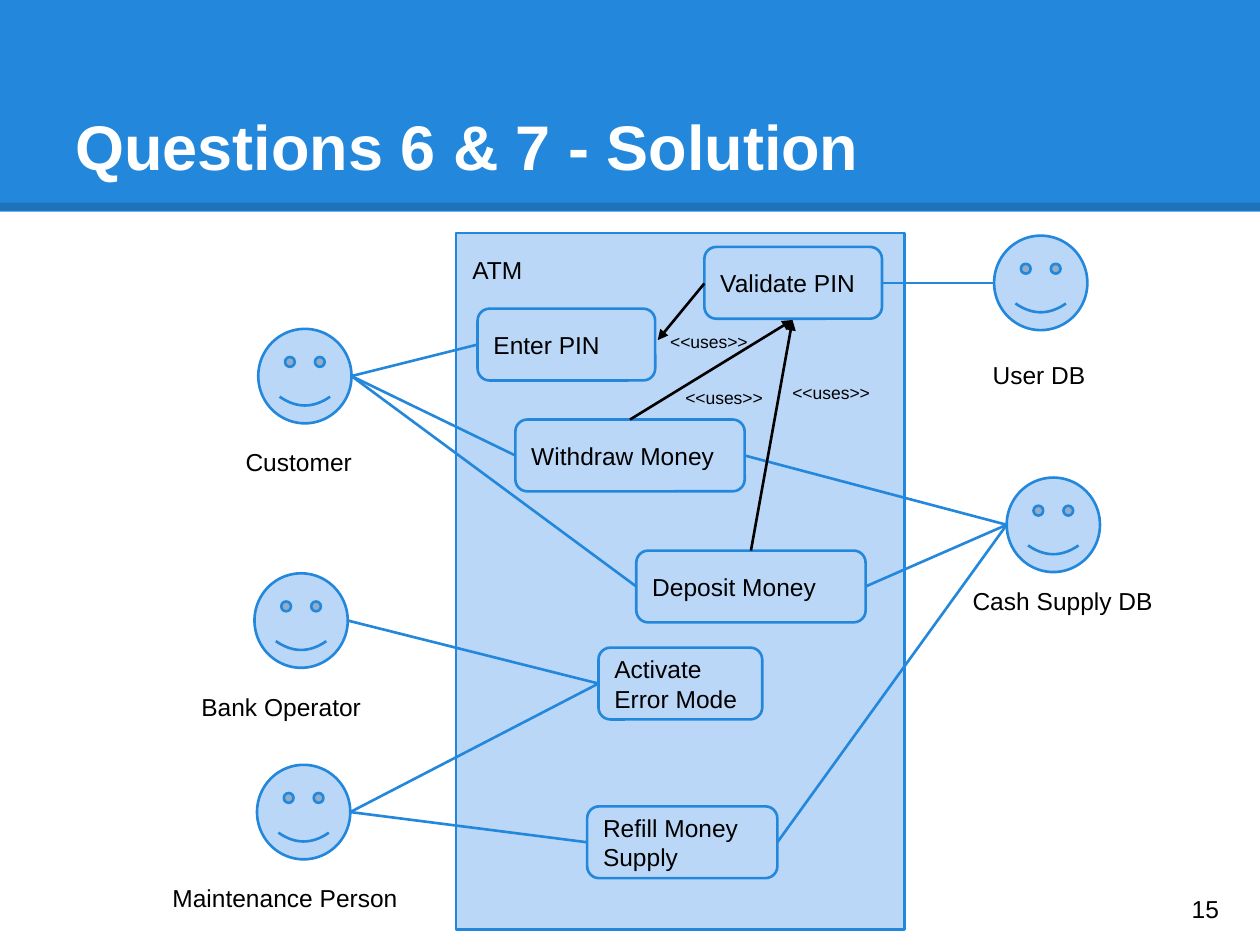
import pptx
import pptx.util
import pptx.dml.color
import pptx.enum.shapes
import pptx.enum.text
import pptx.oxml
import pptx.oxml.ns
from pptx.util import Inches

COLORS = {"blue": "2388DB", "pale": "BBD7F8", "black": "000000", "white": "FFFFFF"}
FONT = "Arial"
FACE_SIZE = (0.74, 0.75)
CASE_HEIGHT = 0.57

TITLE = "Questions 6 & 7 - Solution"
PAGE_NUMBER = "15"
SYSTEM = (3.62, 1.85, 3.56, 5.53)
ACTORS = {
    "Customer": ((2.05, 2.61), (1.85, 3.45, 1.45, 0.5)),
    "Bank Operator": ((2.02, 4.55), (1.5, 5.39, 1.74, 0.5)),
    "Maintenance Person": ((2.04, 6.07), (1.27, 6.91, 2.2, 0.5)),
    "Cash Supply DB": ((7.99, 3.79), (7.62, 4.55, 1.88, 0.5)),
    "User DB": ((7.89, 1.87), (7.78, 2.76, 0.97, 0.32)),
}
USE_CASES = {
    "Validate PIN": (5.59, 1.96, 1.41),
    "Enter PIN": (3.79, 2.45, 1.41),
    "Withdraw Money": (4.09, 3.33, 1.82),
    "Deposit Money": (5.05, 4.37, 1.82),
    "Activate Error Mode": (4.75, 5.14, 1.3),
    "Refill Money Supply": (4.66, 6.4, 1.51),
}
ASSOCIATIONS = [
    ("Customer", "Enter PIN"),
    ("Customer", "Withdraw Money"),
    ("Customer", "Deposit Money"),
    ("Bank Operator", "Activate Error Mode"),
    ("Maintenance Person", "Activate Error Mode"),
    ("Maintenance Person", "Refill Money Supply"),
    ("Withdraw Money", "Cash Supply DB"),
    ("Deposit Money", "Cash Supply DB"),
    ("Refill Money Supply", "Cash Supply DB"),
    ("Validate PIN", "User DB"),
]
USES_ARROWS = [
    ((5.59, 2.25), (5.22, 2.7)),
    ((5, 3.33), (6.29, 2.54)),
    ((5.96, 4.37), (6.29, 2.54)),
]
USES_LABELS = [(5.22, 2.54, 0.85, 0.33), (5.34, 2.99, 0.85, 0.33), (6.19, 2.95, 1.04, 0.33)]

SHAPES = pptx.enum.shapes.MSO_SHAPE
ANCHOR = pptx.enum.text.MSO_ANCHOR

prs = pptx.Presentation()
prs.slide_width, prs.slide_height = Inches(10), Inches(7.5)
s = prs.slides.add_slide(prs.slide_layouts[6])


def rgb(name):
    return pptx.dml.color.RGBColor.from_string(COLORS[name])


def write(sp, text, size=14, color="black", bold=False, anchor=ANCHOR.TOP):
    tf = sp.text_frame
    tf.word_wrap = True
    tf.vertical_anchor = anchor
    tf.margin_left = tf.margin_right = tf.margin_top = tf.margin_bottom = Inches(0.1)
    p = tf.paragraphs[0]
    p.alignment = pptx.enum.text.PP_ALIGN.LEFT
    r = p.add_run()
    r.text = text
    r.font.name, r.font.size, r.font.bold = FONT, pptx.util.Pt(size), bold
    r.font.color.rgb = rgb(color)


def add_label(box, text, **style):
    write(s.shapes.add_textbox(*map(Inches, box)), text, **style)


def add_box(kind, box, fill="pale", line="blue"):
    sp = s.shapes.add_shape(kind, *map(Inches, box))
    sp.shadow.inherit = False
    sp.fill.solid()
    sp.fill.fore_color.rgb = rgb(fill)
    if line:
        sp.line.color.rgb = rgb(line)
        sp.line.width = pptx.util.Pt(1.5)
    else:
        sp.line.fill.background()
    return sp


def add_line(start, end, color="blue", width=1.5, arrow=False, alpha=None):
    c = s.shapes.add_connector(
        pptx.enum.shapes.MSO_CONNECTOR.STRAIGHT, *map(Inches, start + end))
    c.line.color.rgb = rgb(color)
    c.line.width = pptx.util.Pt(width)
    ln = c.line._get_or_add_ln()
    if arrow:
        pptx.oxml.ns.qn("a:tailEnd")
        ln.append(element("tailEnd", 'type="triangle"'))
    if alpha is not None:
        ln.find(".//" + pptx.oxml.ns.qn("a:srgbClr")).append(
            element("alpha", f'val="{alpha * 1000}"'))
    c._element.spPr.append(element("effectLst"))


def element(tag, attributes=""):
    return pptx.oxml.parse_xml(f'<a:{tag} {pptx.oxml.ns.nsdecls("a")} {attributes}/>')


def facing_ends(a, b):
    (ax, ay, aw, ah), (bx, by, bw, bh) = a, b
    return (ax + aw, ay + ah / 2), (bx, by + bh / 2)


add_box(SHAPES.RECTANGLE, (0, 0, 10, 1.68), fill="blue", line=None)
add_line((0, 1.64), (10, 1.64), "black", 4.5, alpha=15)
add_label((0.5, 0.3, 9, 1.25), TITLE, size=36, color="white", bold=True, anchor=ANCHOR.BOTTOM)

add_box(SHAPES.RECTANGLE, SYSTEM)
add_label((3.65, 1.92, 0.93, 0.22), "ATM")

nodes = {}
for name, (corner, label_box) in ACTORS.items():
    nodes[name] = corner + FACE_SIZE
    add_box(SHAPES.SMILEY_FACE, nodes[name])
    add_label(label_box, name)
for name, position in USE_CASES.items():
    nodes[name] = position + (CASE_HEIGHT,)
    write(add_box(SHAPES.ROUNDED_RECTANGLE, nodes[name]), name, anchor=ANCHOR.MIDDLE)

for left, right in ASSOCIATIONS:
    add_line(*facing_ends(nodes[left], nodes[right]))
for start, end in USES_ARROWS:
    add_line(start, end, "black", arrow=True)
for box in USES_LABELS:
    add_label(box, "<<uses>>", size=10)

add_label((9.36, 6.93, 0.6, 0.57), PAGE_NUMBER, anchor=ANCHOR.MIDDLE)
prs.save("out.pptx")
